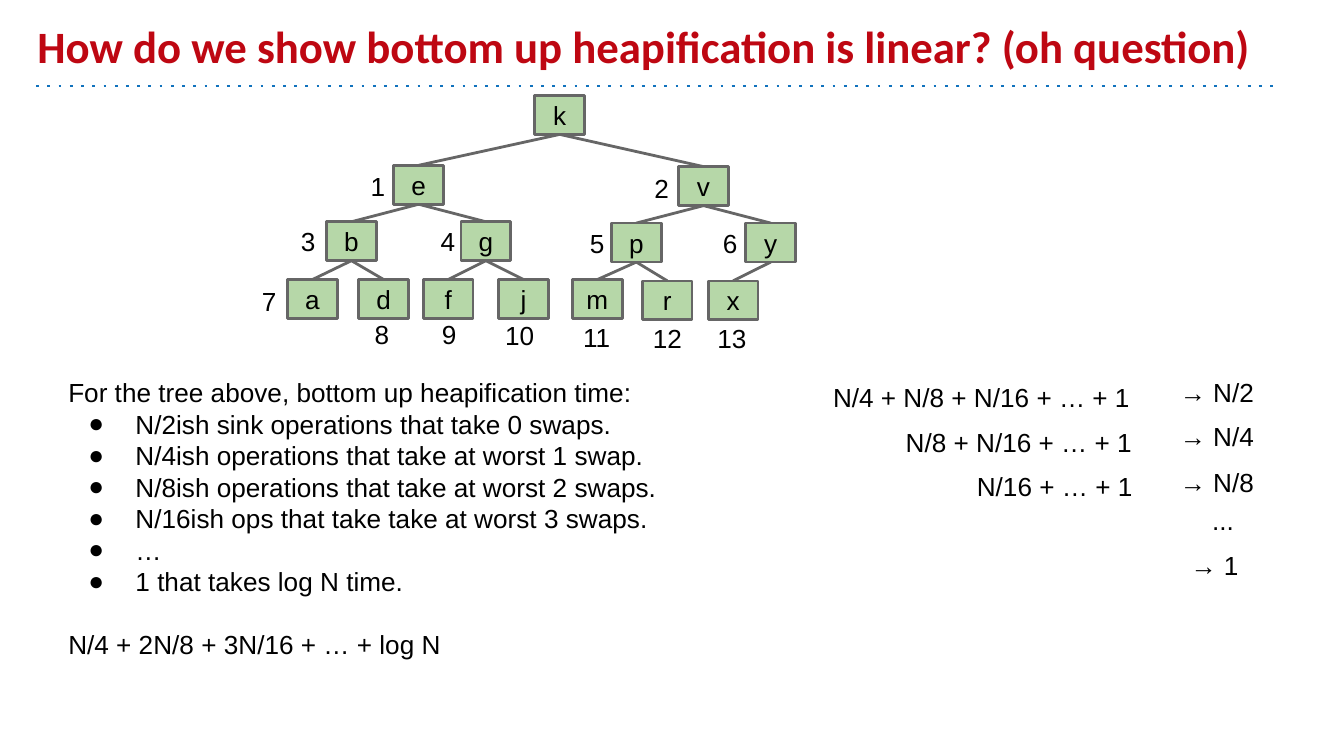
from lxml.etree import SubElement
from pptx import Presentation
from pptx.dml.color import RGBColor
from pptx.enum.shapes import MSO_CONNECTOR, MSO_SHAPE
from pptx.enum.text import MSO_ANCHOR, PP_ALIGN
from pptx.oxml.ns import qn
from pptx.util import Inches, Pt

RED = RGBColor(0xBE, 0x07, 0x12)
BLUE = RGBColor(0x10, 0x72, 0xBD)
GREEN = RGBColor(0xB6, 0xD7, 0xA8)
GRAY = RGBColor(0x66, 0x66, 0x66)
BLACK = RGBColor(0, 0, 0)

NODE_W, NODE_H = 0.37, 0.29
PITCH = Pt(16.9)

NODES = [
    ("k", 3.98, 0.71),
    ("e", 2.93, 1.23), ("v", 5.05, 1.24),
    ("b", 2.43, 1.65), ("g", 3.43, 1.65), ("p", 4.55, 1.66), ("y", 5.55, 1.66),
    ("a", 2.14, 2.08), ("d", 2.67, 2.08), ("f", 3.15, 2.08), ("j", 3.71, 2.08),
    ("m", 4.26, 2.08), ("r", 4.78, 2.09), ("x", 5.27, 2.09),
]
LABELS = [
    (2.66, 1.17), (4.77, 1.18),
    (2.14, 1.58), (3.18, 1.58), (4.29, 1.59), (5.28, 1.59),
    (1.85, 2.02), (2.69, 2.27), (3.19, 2.27), (3.66, 2.28),
    (4.24, 2.29), (4.76, 2.3), (5.24, 2.3),
]
COSTS = [
    "N/2ish sink operations that take 0 swaps.",
    "N/4ish operations that take at worst 1 swap.",
    "N/8ish operations that take at worst 2 swaps.",
    "N/16ish ops that take take at worst 3 swaps.",
    "…",
    "1 that takes log N time.",
]
SUMS = [
    ("N/4 + N/8 + N/16 + … + 1", 6.1, 2.74, 2.53),
    ("N/8 + N/16 + … + 1", 6.64, 3.07, 1.91),
    ("N/16 + … + 1", 7.17, 3.4, 2.07),
    ("→ N/2", 8.68, 2.7, 1.22),
    ("→ N/4", 8.68, 3.03, 1.22),
    ("→ N/8", 8.68, 3.37, 1.22),
    ("→ 1", 8.76, 3.99, 0.89),
    ("...", 8.92, 3.65, 1),
]


def style(par, size=14, font="Arial", color=BLACK, bold=False):
    par.font.size = Pt(size)
    par.font.name = font
    par.font.color.rgb = color
    par.font.bold = bold


def pad(frame):
    frame.word_wrap = True
    frame.margin_left = frame.margin_right = Inches(0.1)
    frame.margin_top = frame.margin_bottom = Inches(0.1)


def add_text(slide, text, x, y, w, h, **look):
    box = slide.shapes.add_textbox(Inches(x), Inches(y), Inches(w), Inches(h))
    frame = box.text_frame
    pad(frame)
    frame.text = text
    style(frame.paragraphs[0], **look)
    return frame


def add_line(slide, start, end, color, dash="solid"):
    x1, y1, x2, y2 = map(Inches, start + end)
    line = slide.shapes.add_connector(MSO_CONNECTOR.STRAIGHT, x1, y1, x2, y2)
    line.line.color.rgb = color
    line.line.width = Pt(1.5)
    props = line._element.spPr
    SubElement(props.find(qn("a:ln")), qn("a:prstDash")).set("val", dash)
    SubElement(props, qn("a:effectLst"))


def add_node(slide, name, x, y):
    node = slide.shapes.add_shape(
        MSO_SHAPE.RECTANGLE, Inches(x), Inches(y), Inches(NODE_W), Inches(NODE_H))
    node.shadow.inherit = False
    node.fill.solid()
    node.fill.fore_color.rgb = GREEN
    node.line.color.rgb = GRAY
    node.line.width = Pt(1.5)
    frame = node.text_frame
    pad(frame)
    frame.vertical_anchor = MSO_ANCHOR.MIDDLE
    frame.text = name
    par = frame.paragraphs[0]
    par.alignment = PP_ALIGN.CENTER
    style(par)


def add_tree(slide):
    for i, (name, x, y) in enumerate(NODES):
        if i:
            _, px, py = NODES[(i - 1) // 2]
            add_line(slide, (px + NODE_W / 2, py + NODE_H), (x + NODE_W / 2, y), GRAY)
    for node in NODES:
        add_node(slide, *node)
    for num, (x, y) in enumerate(LABELS, 1):
        add_text(slide, str(num), x, y, 0.34 if num < 10 else 0.47, 0.4)


def add_bullet(par):
    props = par._p.get_or_add_pPr()
    props.set("marL", str(Inches(0.5)))
    props.set("indent", str(Inches(-0.35)))
    color = SubElement(props, qn("a:buClr"))
    SubElement(color, qn("a:srgbClr")).set("val", str(BLACK))
    SubElement(props, qn("a:buSzPts")).set("val", "1400")
    SubElement(props, qn("a:buFont")).set("typeface", "Arial")
    SubElement(props, qn("a:buChar")).set("char", "●")


def add_costs(slide):
    frame = add_text(slide, "For the tree above, bottom up heapification time:",
                     0.41, 2.7, 5.84, 2.32)
    for cost in COSTS:
        par = frame.add_paragraph()
        par.text = cost
        add_bullet(par)
        style(par)
    total = frame.add_paragraph()
    total.text = "N/4 + 2N/8 + 3N/16 + … + log N"
    total.space_before = PITCH
    style(total)
    for par in frame.paragraphs:
        par.line_spacing = PITCH


def main():
    deck = Presentation()
    deck.slide_width = Inches(10)
    deck.slide_height = deck.slide_width * 9 // 16
    slide = deck.slides.add_slide(deck.slide_layouts[6])
    add_line(slide, (0.27, 0.64), (9.5, 0.64), BLUE, "dot")
    title = add_text(
        slide, "How do we show bottom up heapification is linear? (oh question)",
        0.18, 0.1, 9.47, 0.54, size=24, font="Calibri", color=RED, bold=True)
    title.vertical_anchor = MSO_ANCHOR.BOTTOM
    add_tree(slide)
    add_costs(slide)
    for text, x, y, w in SUMS:
        add_text(slide, text, x, y, w, 0.44)
    deck.save("out.pptx")


if __name__ == "__main__":
    main()
